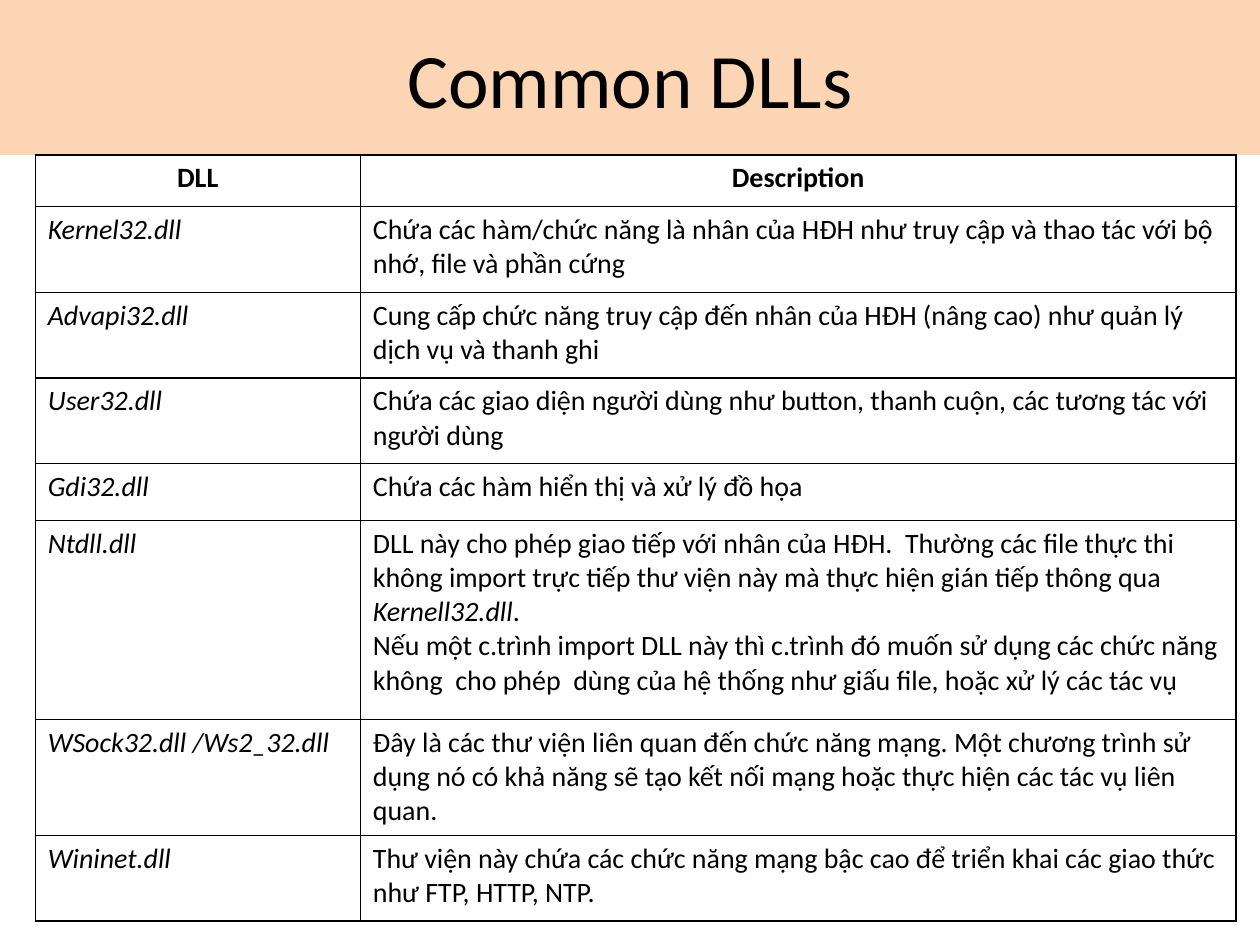
"""Build the Common DLLs slide: a title band above a two-column reference table."""
from lxml.etree import SubElement
from pptx import Presentation
from pptx.dml.color import RGBColor
from pptx.enum.text import MSO_ANCHOR, PP_ALIGN
from pptx.oxml.ns import qn
from pptx.util import Inches, Pt

COLORS = {"band": "FCD5B5", "text": "000000", "border": "000000"}
TITLE_FONT = {"name": "Calibri", "size": Pt(44), "bold": False}
CELL_FONT = {"name": "Calibri", "size": Pt(16)}
COLUMN_WIDTHS = [2.58, 6.95]
ROWS = [
    (0.41, "DLL", [["Description"]]),
    (0.68, "Kernel32.dll", [["Chứa các hàm/chức năng là nhân của HĐH như truy cập và thao tác với bộ nhớ, file và phần cứng"]]),
    (0.68, "Advapi32.dll", [["Cung cấp chức năng truy cập đến nhân của HĐH (nâng cao) như quản lý dịch vụ và thanh ghi"]]),
    (0.68, "User32.dll", [["Chứa các giao diện người dùng như button, thanh cuộn, các tương tác với người dùng"]]),
    (0.45, "Gdi32.dll", [["Chứa các hàm hiển thị và xử lý đồ họa"]]),
    (1.58, "Ntdll.dll", [
        ["DLL này cho phép giao tiếp với nhân của HĐH.  Thường các file thực thi không import trực tiếp thư viện này mà thực hiện gián tiếp thông qua ", "Kernell32.dll", "."],
        ["Nếu một c.trình import DLL này thì c.trình đó muốn sử dụng các chức năng không  cho phép  dùng của hệ thống như giấu file, hoặc xử lý các tác vụ"],
    ]),
    (0.92, "WSock32.dll /Ws2_32.dll", [["Đây là các thư viện liên quan đến chức năng mạng. Một chương trình sử dụng nó có khả năng sẽ tạo kết nối mạng hoặc thực hiện các tác vụ liên quan."]]),
    (0.68, "Wininet.dll", [["Thư viện này chứa các chức năng mạng bậc cao để triển khai các giao thức như FTP, HTTP, NTP."]]),
]


def add_run(p, text, font, **extra):
    r = p.add_run()
    r.text = text
    for key, value in {**font, **extra}.items():
        setattr(r.font, key, value)
    r.font.color.rgb = RGBColor.from_string(COLORS["text"])


def add_borders(cell):
    tc_pr = cell._tc.get_or_add_tcPr()
    for side in ("a:lnL", "a:lnR", "a:lnT", "a:lnB"):
        ln = SubElement(tc_pr, qn(side), w=str(Pt(1)))
        fill = SubElement(ln, qn("a:solidFill"))
        SubElement(fill, qn("a:srgbClr"), val=COLORS["border"])


prs = Presentation()
prs.slide_width, prs.slide_height = Inches(10), Inches(7.5)
s = prs.slides.add_slide(prs.slide_layouts[5])

title = s.shapes.title
title.left, title.top = Inches(0), Inches(0)
title.width, title.height = Inches(10), Inches(1.23)
title.fill.solid()
title.fill.fore_color.rgb = RGBColor.from_string(COLORS["band"])
tf = title.text_frame
tf.vertical_anchor = MSO_ANCHOR.MIDDLE
p = tf.paragraphs[0]
p.alignment = PP_ALIGN.CENTER
add_run(p, "Common DLLs", TITLE_FONT)

table = s.shapes.add_table(
    len(ROWS), len(COLUMN_WIDTHS), Inches(0.28), Inches(1.23),
    Inches(sum(COLUMN_WIDTHS)), Inches(sum(row[0] for row in ROWS)),
).table
table.first_row = table.horz_banding = False
for column, width in zip(table.columns, COLUMN_WIDTHS):
    column.width = Inches(width)

for i, (height, name, description) in enumerate(ROWS):
    header = i == 0
    table.rows[i].height = Inches(height)
    for j, paragraphs in enumerate(([[name]], description)):
        cell = table.cell(i, j)
        add_borders(cell)
        cell.fill.background()
        tf = cell.text_frame
        for k, runs in enumerate(paragraphs):
            p = tf.paragraphs[0] if k == 0 else tf.add_paragraph()
            p.alignment = PP_ALIGN.CENTER if header else PP_ALIGN.LEFT
            for n, text in enumerate(runs):
                italic = not header and (j == 0 or n == 1)
                add_run(p, text, CELL_FONT, bold=header, italic=italic)

prs.save("out.pptx")
